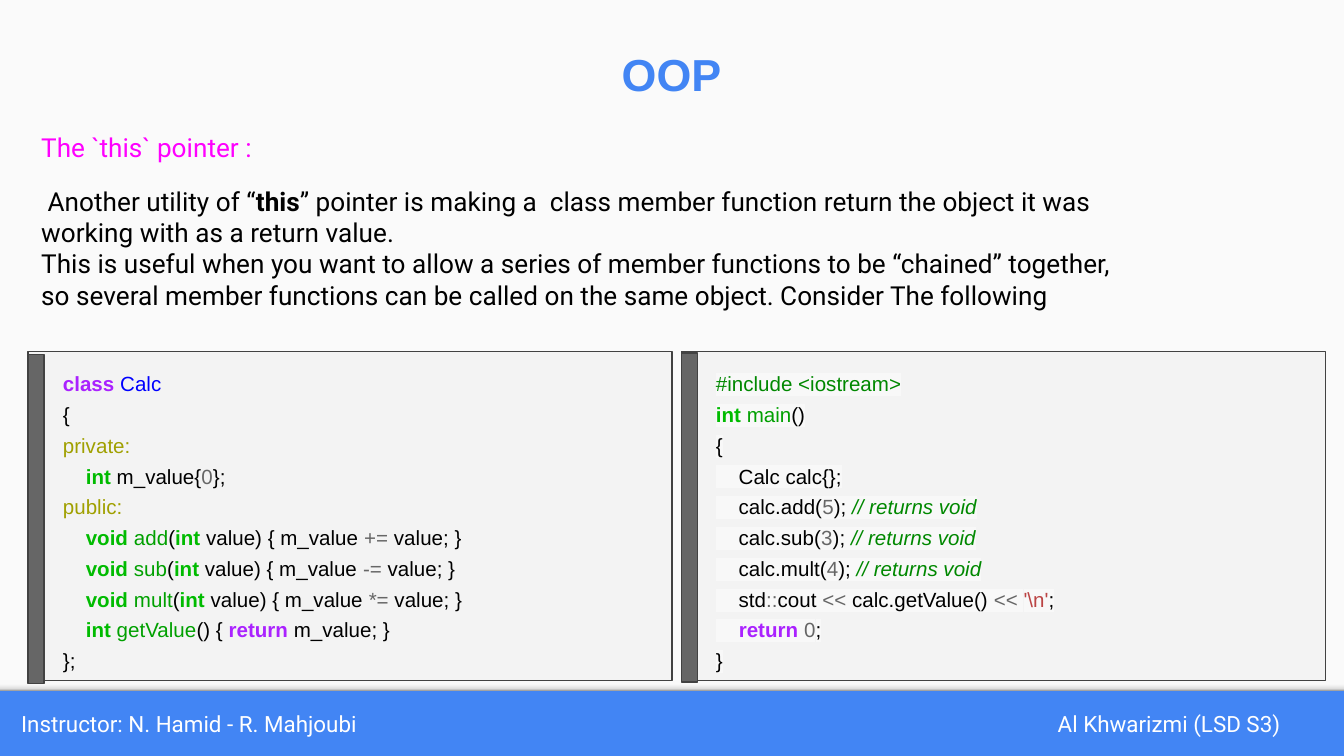
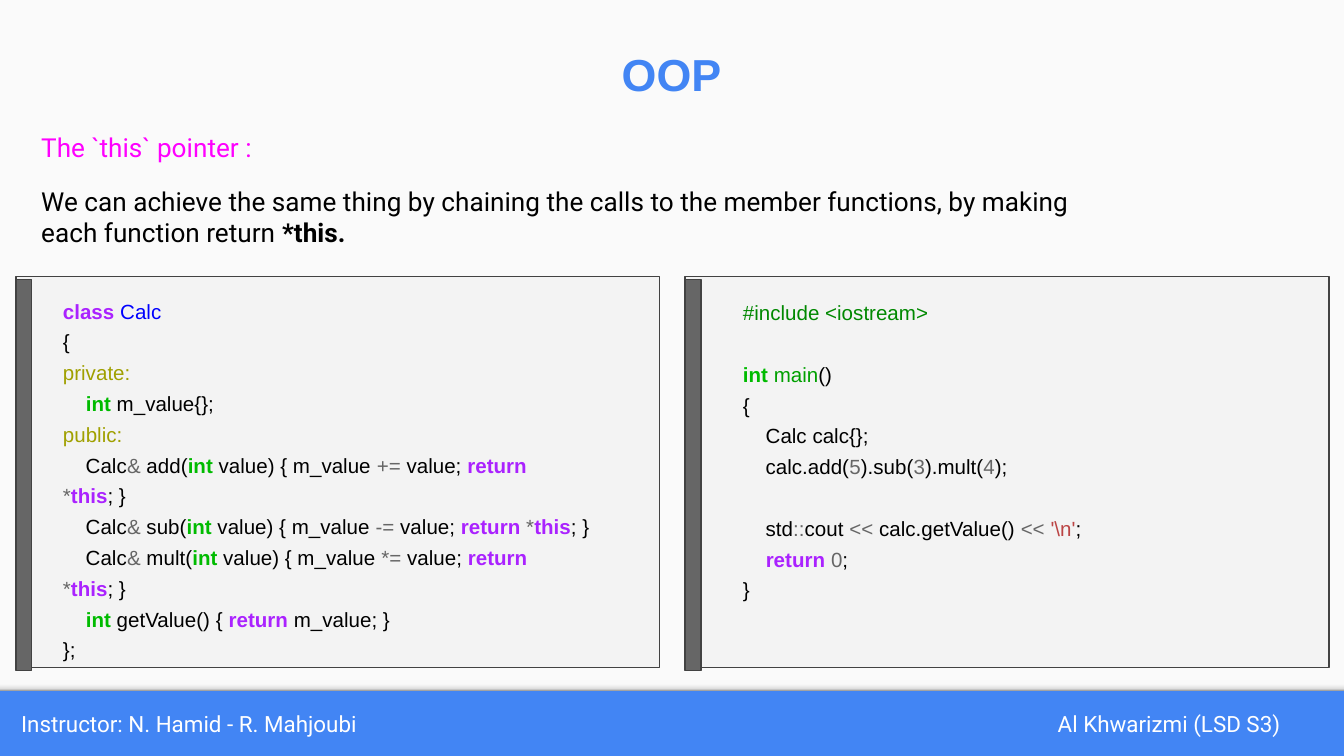
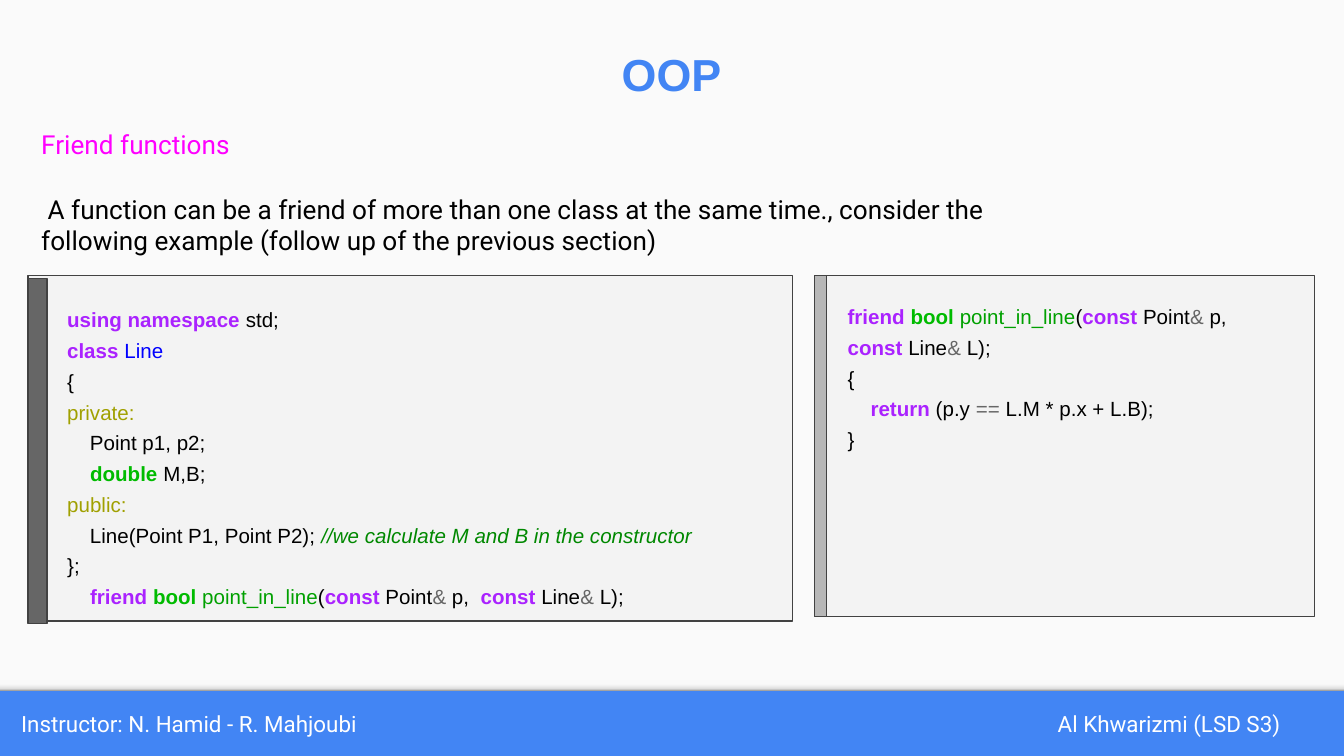
from dataclasses import dataclass

import lxml.etree
import pptx
import pptx.dml.color
import pptx.enum.shapes
import pptx.enum.text
import pptx.oxml.ns
import pptx.shapes.autoshape
import pptx.slide
import pptx.text.text
import pptx.util

Cm = pptx.util.Cm
Pt = pptx.util.Pt
qn = pptx.oxml.ns.qn
ALIGN = pptx.enum.text.PP_ALIGN
ANCHOR = pptx.enum.text.MSO_ANCHOR
FIT = pptx.enum.text.MSO_AUTO_SIZE

COLORS = {
    "blue": "4285F4", "page": "FAFAFA", "white": "FFFFFF", "black": "000000",
    "pink": "FF00FF", "panel": "F3F3F3", "edge": "424242", "dark": "666666",
    "light": "B7B7B7", "mark": "F8F8F8", "purple": "AA22FF", "lime": "00BB00",
    "green": "00A000", "forest": "008800", "olive": "A0A000", "navy": "0000FF",
    "red": "BB4444",
}
FADE = [(0, "F9F9F9"), (36, "F9F9F9"), (80, "DEDEDE"), (100, "999999")]


@dataclass(frozen=True)
class Style:
    color: str
    bold: bool = False
    slant: bool = False


@dataclass(frozen=True)
class Face:
    font: str
    size: int
    space: float = 1.0
    mark: str = ""


@dataclass(frozen=True)
class Box:
    left: float
    top: float
    width: float
    height: float


@dataclass(frozen=True)
class Panel:
    frame: Box
    text: Box
    lines: list[str]
    bar: float = 0.3
    drop: float = 0.05
    tint: str = "dark"
    mark: str = ""


@dataclass(frozen=True)
class Page:
    head: str
    top: float
    prose: Box
    lines: list[str]
    panels: list[Panel]


PLAIN = Style("black")
STYLES = {
    "k": Style("purple", bold=True),
    "t": Style("lime", bold=True),
    "f": Style("green"),
    "n": Style("navy"),
    "a": Style("olive"),
    "o": Style("dark"),
    "r": Style("forest", slant=True),
    "i": Style("forest"),
    "s": Style("red"),
    "b": Style("black", bold=True),
    "h": Style("pink"),
    "w": Style("white"),
    "T": Style("blue", bold=True),
}
PROSE = Face("Roboto", 14)
FOOT = Face("Roboto", 12)
TITLE = Face("Arial", 24, 1.15, "page")
GAP = Pt(16.5)

MATH = [("add", "+="), ("sub", "-="), ("mult", "*=")]
CALLS = [("add", 5), ("sub", 3), ("mult", 4)]
THIS = "h:The `this` pointer :"
CLASS = ["k:class |n:Calc", "{", "a:private:"]
PRINT = "    std|o:::|cout |o:<<| calc.getValue() |o:<<| |s:'\\n'|;"
FRIEND = ("k:friend |t:bool |f:point_in_line|(|k:const| Point|o:& |p,  "
          "|k:const| Line|o:& |L);")

PAGES = [
    Page(THIS, 2.24, Box(0.53, 3.25, 20.73, 2.9), [
        " Another utility of “|b:this|” pointer is making a  class member function "
        "return the object it was working with as a return value.",
        "This is useful when you want to allow a series of member functions to be "
        "“chained” together, so several member functions can be called on the same "
        "object. Consider The following",
    ], [
        Panel(Box(0.53, 6.65, 12.17, 6.22), Box(0.94, 6.65, 10.52, 6.27), [
            *CLASS,
            "    |t:int| m_value{|o:0|};",
            "a:public:",
            *[f"    |t:void |f:{name}|(|t:int| value) {{ m_value |o:{sign}| value; }}"
              for name, sign in MATH],
            "    |t:int |f:getValue|() { |k:return| m_value; }",
            "};",
        ]),
        Panel(Box(12.88, 6.65, 12.17, 6.22), Box(13.28, 6.65, 10.52, 7.44), [
            "i:#include <iostream>",
            "t:int| |f:main|()",
            "{",
            "    Calc calc{};",
            *[f"    calc.{name}(|o:{num}|); |r:// returns void" for name, num in CALLS],
            PRINT,
            "    |k:return| |o:0|;",
            "}",
        ], drop=0.02, mark="mark"),
    ]),
    Page(THIS, 2.24, Box(0.53, 3.25, 20.73, 1.7), [
        "We can achieve the same thing by chaining the calls to the member functions, "
        "by making each function return |b:*this.",
    ], [
        Panel(Box(0.3, 5.23, 12.17, 7.39), Box(0.94, 5.28, 10.52, 7.44), [
            *CLASS,
            "    |t:int| m_value{};",
            "a:public:",
            *[f"    Calc|o:&| {name}(|t:int| value) {{ m_value |o:{sign}| value; "
              "|k:return |o:*|k:this|; }" for name, sign in MATH],
            "    |t:int| getValue() { |k:return| m_value; }",
            "};",
        ]),
        Panel(Box(12.95, 5.23, 12.17, 7.39), Box(13.79, 5.31, 10.52, 7.44), [
            "i:#include <iostream>",
            "",
            "t:int |f:main|()",
            "{",
            "    Calc calc{};",
            "    calc" + "".join(f".{name}(|o:{num}|)" for name, num in CALLS) + ";",
            "",
            PRINT,
            "    |k:return |o:0|;",
            "}",
        ]),
    ]),
    Page("h:Friend functions", 2.18, Box(0.53, 3.4, 19.18, 1.7), [
        " A function can be a friend of more than one class at the same time., consider "
        "the following example (follow up of the previous section)",
    ], [
        Panel(Box(0.53, 5.21, 14.45, 6.53), Box(1.02, 5.44, 13.28, 6.27), [
            "k:using namespace| std;",
            "k:class |n:Line",
            "{",
            "a:private:",
            "    Point p1, p2;",
            "    |t:double| M,B;",
            "a:public:",
            "    Line(Point P1, Point P2); |r://we calculate M and B in the constructor",
            "};",
            "    |" + FRIEND,
        ], bar=0.36),
        Panel(Box(15.39, 5.21, 9.45, 6.45), Box(15.77, 5.38, 8.69, 4.04), [
            FRIEND,
            "{",
            "    |k:return| (p.y |o:== |L.M * p.x + L.B);",
            "}",
        ], bar=0.23, drop=0, tint="light"),
    ]),
]


def rgb(name: str) -> pptx.dml.color.RGBColor:
    return pptx.dml.color.RGBColor.from_string(COLORS[name])


def span(box: Box) -> tuple[int, int, int, int]:
    return Cm(box.left), Cm(box.top), Cm(box.width), Cm(box.height)


def add_run(para, text: str, style: Style, face: Face) -> None:
    run = para.add_run()
    run.text = text
    font = run.font
    font.name = face.font
    font.size = Pt(face.size)
    font.bold = style.bold
    font.italic = style.slant
    font.color.rgb = rgb(style.color)
    if face.mark:
        fill = run._r.get_or_add_rPr().find(qn("a:solidFill"))
        mark = lxml.etree.Element(qn("a:highlight"))
        lxml.etree.SubElement(mark, qn("a:srgbClr"), val=COLORS[face.mark])
        fill.addnext(mark)


def write(frame: pptx.text.text.TextFrame, lines: list[str], face: Face,
          align=ALIGN.LEFT) -> None:
    frame.word_wrap = True
    frame.margin_left = frame.margin_right = Cm(0.25)
    frame.margin_top = frame.margin_bottom = Cm(0.25)
    para, gap = frame.paragraphs[0], Pt(0)
    for i, line in enumerate(lines):
        if not line:
            gap = GAP
            continue
        if i:
            para = frame.add_paragraph()
        props = para._p.get_or_add_pPr()
        props.set("marL", "0")
        props.set("indent", "0")
        lxml.etree.SubElement(props, qn("a:buNone"))
        para.alignment = align
        para.line_spacing = face.space
        para.space_before, gap = gap, Pt(0)
        for part in line.split("|"):
            if part[1:2] == ":" and part[0] in STYLES:
                add_run(para, part[2:], STYLES[part[0]], face)
            else:
                add_run(para, part, PLAIN, face)


def add_rect(slide: pptx.slide.Slide, box: Box, fill: str,
             edge: str = "") -> pptx.shapes.autoshape.Shape:
    rect = slide.shapes.add_shape(
        pptx.enum.shapes.MSO_SHAPE.RECTANGLE, *span(box))
    rect.shadow.inherit = False
    rect.fill.solid()
    rect.fill.fore_color.rgb = rgb(fill)
    if edge:
        rect.line.color.rgb = rgb(edge)
        rect.line.width = Pt(0.75)
    else:
        rect.line.fill.background()
    return rect


def add_text(slide: pptx.slide.Slide, box: Box, lines: list[str], face: Face) -> None:
    frame = slide.shapes.add_textbox(*span(box)).text_frame
    write(frame, lines, face)
    frame.auto_size = FIT.SHAPE_TO_FIT_TEXT


def fill_holder(holder, box: Box, text: str, face: Face, align, anchor) -> None:
    holder.left, holder.top, holder.width, holder.height = span(box)
    frame = holder.text_frame
    write(frame, [text], face, align)
    frame.auto_size = FIT.NONE
    frame.vertical_anchor = anchor


def dress(layout: pptx.slide.SlideLayout, slide: pptx.slide.Slide) -> None:
    layout.background.fill.solid()
    layout.background.fill.fore_color.rgb = rgb("blue")
    sheet = add_rect(slide, Box(0, 0, 25.4, 13.06), "page")
    strip = add_rect(slide, Box(0, 12.86, 25.4, 0.2), "page")
    strip.fill.gradient()
    strip.fill.gradient_angle = 270
    stops = strip.element.spPr.find(".//" + qn("a:gsLst"))
    for stop in list(stops):
        stops.remove(stop)
    for place, tint in FADE:
        stop = lxml.etree.SubElement(stops, qn("a:gs"), pos=str(place * 1000))
        lxml.etree.SubElement(stop, qn("a:srgbClr"), val=tint)
    for i, rect in enumerate((sheet, strip)):
        rect.element.nvSpPr.cNvPr.set("id", str(90 + i))
        layout.shapes.element.insert(2 + i, rect.element)


def add_panel(slide: pptx.slide.Slide, panel: Panel) -> None:
    frame = panel.frame
    add_rect(slide, frame, "panel", "edge")
    add_rect(slide, Box(frame.left, frame.top + panel.drop, panel.bar, frame.height),
             panel.tint, "edge")
    add_text(slide, panel.text, panel.lines, Face("Arial", 11, 1.25, panel.mark))


def add_page(slide: pptx.slide.Slide, page: Page) -> None:
    title, left, right = slide.placeholders
    fill_holder(title, Box(5.87, 0.48, 13.64, 1.55), "T:OOP", TITLE,
                ALIGN.CENTER, ANCHOR.TOP)
    fill_holder(left, Box(0.15, 13.06, 11.61, 1.24),
                "w:Instructor: N. Hamid - R. Mahjoubi", FOOT, ALIGN.LEFT, ANCHOR.MIDDLE)
    fill_holder(right, Box(18.87, 13.06, 6.45, 1.24),
                "w:Al Khwarizmi (LSD S3)", FOOT, ALIGN.CENTER, ANCHOR.MIDDLE)
    add_text(slide, Box(0.53, page.top, 20.4, 1.12), [page.head], PROSE)
    add_text(slide, page.prose, page.lines, PROSE)
    for panel in page.panels:
        add_panel(slide, panel)


def main() -> None:
    deck = pptx.Presentation()
    deck.slide_width, deck.slide_height = Cm(25.4), Cm(14.29)
    layout = deck.slide_layouts[3]
    for i, page in enumerate(PAGES):
        slide = deck.slides.add_slide(layout)
        if i == 0:
            dress(layout, slide)
        add_page(slide, page)
    deck.save("out.pptx")


if __name__ == "__main__":
    main()
